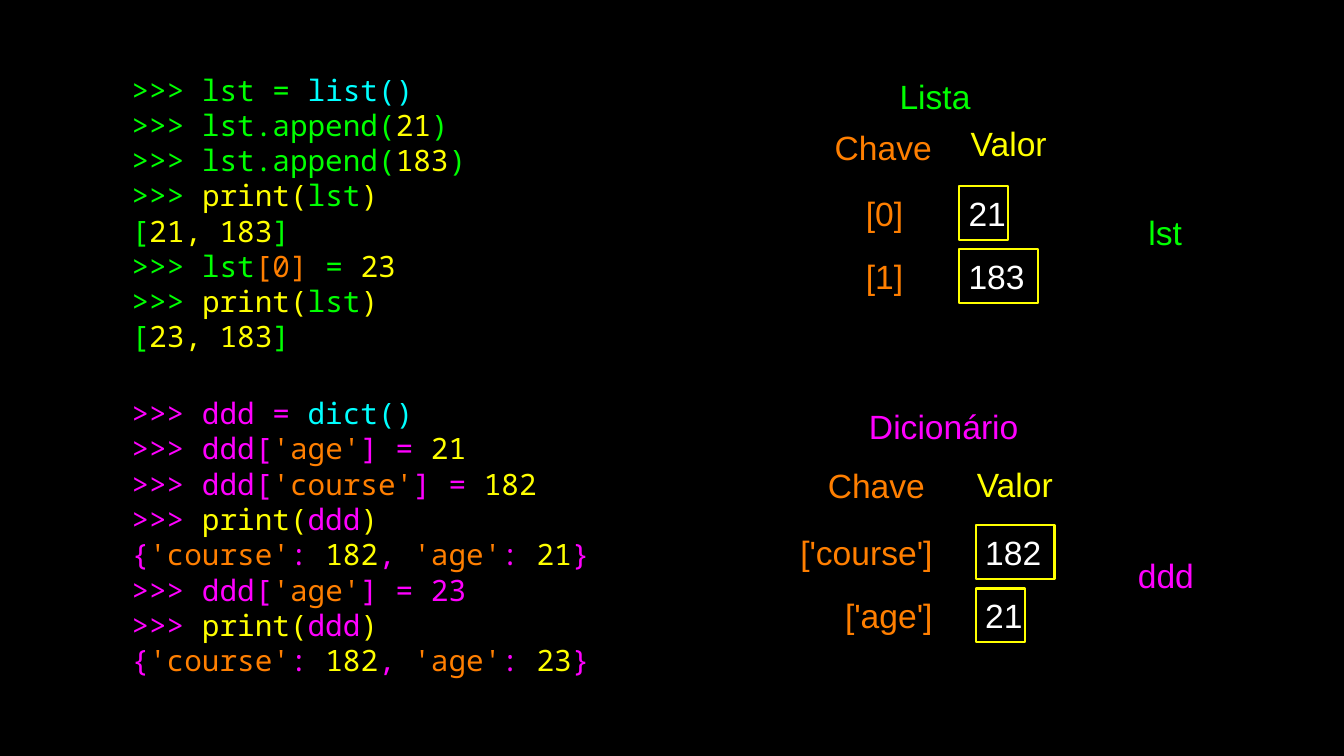
"""Build a slide that compares a Python list with a Python dictionary."""
from pptx import Presentation
from pptx.dml.color import RGBColor as RGB
from pptx.enum.shapes import MSO_SHAPE as SHAPE
from pptx.enum.text import MSO_ANCHOR as ANCHOR, PP_ALIGN as ALIGN
from pptx.util import Inches, Pt

THEME = {
    "ground": "000000", "list": "00FF00", "dict": "FF00FF", "call": "00FFFF",
    "value": "FFFF00", "key": "FF7F00", "content": "FFFFFF",
    "code": {"name": "Noto Sans Mono", "size": Pt(28)},
    "label": {"name": "Arial", "size": Pt(32)},
    "leading": Pt(33.6), "border": Pt(2),
}
INKS = {"l": "list", "d": "dict", "c": "call", "v": "value", "k": "key"}
FRAME = {"margin_left": 0, "margin_right": 0, "margin_top": 0, "margin_bottom": 0,
         "word_wrap": True, "vertical_anchor": ANCHOR.MIDDLE}

deck = Presentation()
deck.slide_width, deck.slide_height = Inches(17.78), Inches(10)
slide = deck.slides.add_slide(deck.slide_layouts[6])
slide.background.fill.solid()
slide.background.fill.fore_color.rgb = RGB.from_string(THEME["ground"])
column, row = deck.slide_width / 100, deck.slide_height / 100


def write(paragraph, words, ink, face):
    run = paragraph.add_run()
    run.text = words
    for attribute, setting in THEME[face].items():
        setattr(run.font, attribute, setting)
    run.font.color.rgb = RGB.from_string(THEME[ink])


def place(left, top, width, height, words="", ink="content", align=ALIGN.CENTER, boxed=False):
    area = [round(n) for n in (left * column, top * row, width * column, height * row)]
    if boxed:
        holder = slide.shapes.add_shape(SHAPE.RECTANGLE, *area)
        holder.shadow.inherit = False
        holder.fill.background()
        holder.line.color.rgb = RGB.from_string(THEME["value"])
        holder.line.width = THEME["border"]
    else:
        holder = slide.shapes.add_textbox(*area)
    for attribute, setting in FRAME.items():
        setattr(holder.text_frame, attribute, setting)
    if words:
        holder.text_frame.paragraphs[0].alignment = align
        write(holder.text_frame.paragraphs[0], words, ink, "label")
    return holder.text_frame


# Each "|" part of a code line starts with its ink letter.
list_session = [
    "l>>> lst = |clist()",
    "l>>> lst.append(|v21|l)",
    "l>>> lst.append(|v183|l)",
    "l>>> |vprint(|llst|v)",
    "l[|v21, 183|l]",
    "l>>> lst|k[0]|l = |v23",
    "l>>> |vprint(|llst|v)",
    "l[|v23, 183|l]",
]
dict_session = [
    "d>>> ddd = |cdict()",
    "d>>> ddd[|k'age'|d] = |v21",
    "d>>> ddd[|k'course'|d] = |v182",
    "d>>> |vprint(|dddd|v)",
    "d{|k'course'|d: |v182|d, |k'age'|d: |v21|d}",
    "d>>> ddd[|k'age'|d] = 23",
    "d>>> |vprint(|dddd|v)",
    "d{|k'course'|d: |v182|d, |k'age'|d: |v23|d}",
]
for top, width, height, session in [(8.5, 34.98, 39.3, list_session),
                                    (49.4, 38.25, 43.1, dict_session)]:
    listing = place(9.79, top, width, height)
    for index, line in enumerate(session):
        paragraph = listing.add_paragraph() if index else listing.paragraphs[0]
        paragraph.line_spacing = THEME["leading"]
        for part in line.split("|"):
            write(paragraph, part[1:], INKS[part[0]], "code")

diagrams = [
    {"ink": "list", "title": ("Lista", 66.65, 8.5, 5.85), "name": ("lst", 84.7, 26.4, 3.99),
     "key_head": (61.81, 16), "value_head": (71.65, 15.5),
     "key_right": 67.21, "value_left": 71.37, "top": 24.6,
     "entries": [("[0]", 3.99, " 21", 3.66), ("[1]", 3.99, " 183", 5.85)]},
    {"ink": "dict", "title": ("Dicionário", 62.15, 52.1, 16.14), "name": ("ddd", 83.69, 71.8, 6.13),
     "key_head": (61.3, 60.8), "value_head": (72.1, 60.6),
     "key_right": 69.4, "value_left": 72.61, "top": 69.5,
     "entries": [("['course']", 11.36, " 182", 5.85), ("['age']", 7.37, " 21", 3.66)]},
]
for diagram in diagrams:
    for words, left, top, width in (diagram["title"], diagram["name"]):
        place(left, top, width, 8.5, words, diagram["ink"])
    place(*diagram["key_head"], 7.82, 6.8, "Chave", "key")
    place(*diagram["value_head"], 6.81, 6.8, "Valor", "value")
    for index, (key, key_width, value, value_width) in enumerate(diagram["entries"]):
        top = diagram["top"] + index * 8.35
        place(diagram["key_right"] - key_width, top + 0.15, key_width, 6.8, key, "key", ALIGN.RIGHT)
        place(diagram["value_left"], top, value_width, 7.1, value, align=ALIGN.LEFT, boxed=True)

deck.save("out.pptx")
